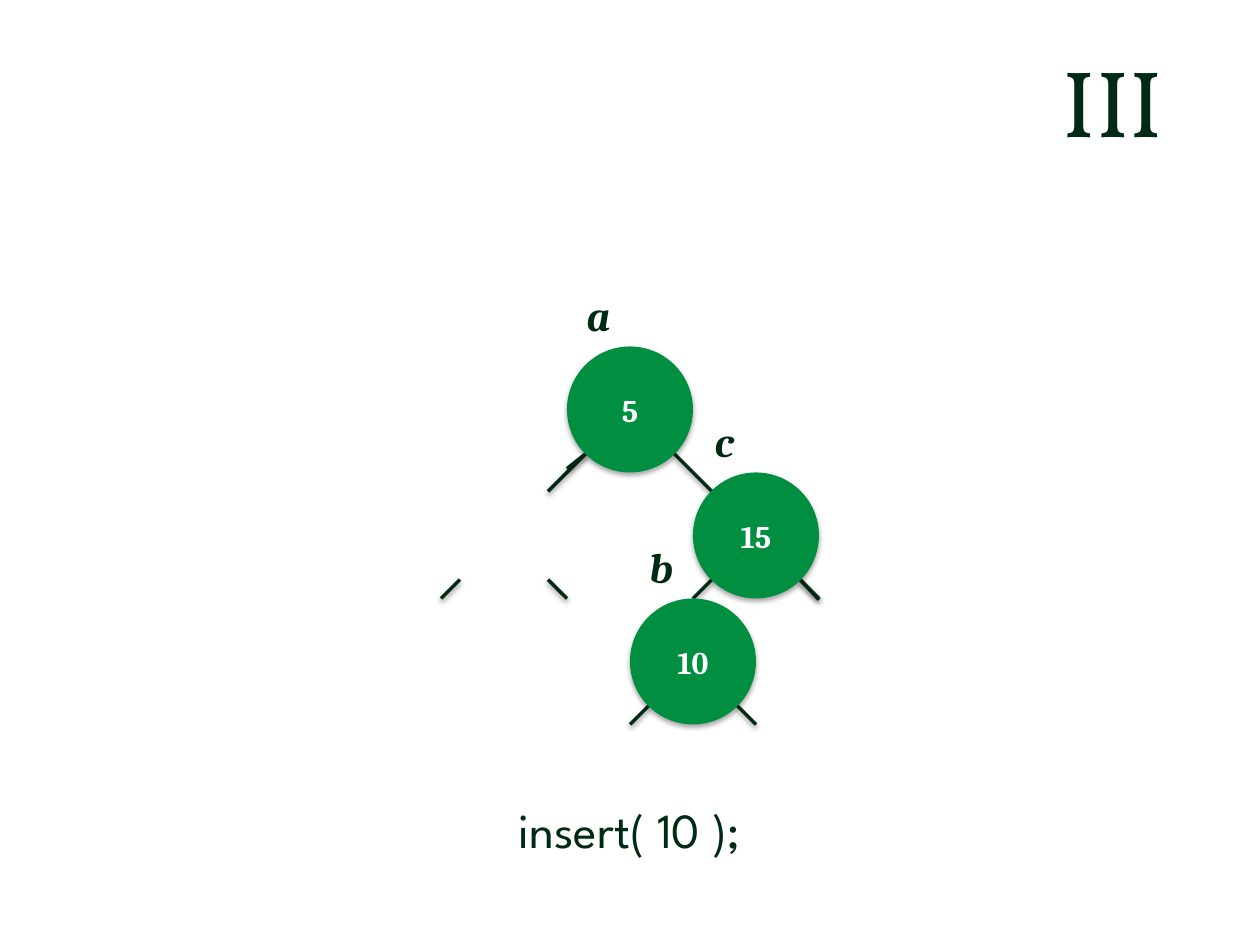
"""Build a slide that shows a binary search tree after inserting 10."""
import lxml.etree
import pptx
import pptx.dml.color
import pptx.enum.shapes
import pptx.enum.text
import pptx.oxml
import pptx.oxml.ns
import pptx.util

Inches = pptx.util.Inches
Pt = pptx.util.Pt
ALIGN = pptx.enum.text.PP_ALIGN

COLORS = {"ink": "002A13", "node": "008E40", "paper": "FFFFFF", "shadow": "000000"}

TITLE = "III"
CALL = "insert( 10 );"
NODES = [("c", "15", 5.5, 3.75), ("a", "5", 4.5, 2.75), ("b", "10", 5, 4.75)]
NODE_SIZE, LABEL_SIZE = 1, 0.5
EDGES = [
    (4.35, 4.6, 4.5, 4.75),
    (4.65, 3.6, 4.35, 3.9),
    (6.35, 4.6, 6.5, 4.76),
    (3.65, 4.6, 3.5, 4.75),
    (5.35, 3.6, 5.65, 3.9),
    (4.65, 3.6, 4.5, 3.72),
    (5.65, 4.6, 5.5, 4.75),
    (6.35, 4.6, 6.5, 4.75),
    (5.15, 5.6, 5, 5.75),
    (5.85, 5.6, 6, 5.75),
]

FORMATS = {
    "title": {"name": "Vollkorn", "size": Pt(54), "bold": False},
    "value": {"name": "Cambria", "size": Pt(18), "bold": True},
    "label": {"name": "Cambria", "size": Pt(24), "bold": True, "italic": True},
    "call": {"name": "League Spartan", "size": Pt(28)},
}
FRAME = {
    "word_wrap": True,
    "auto_size": pptx.enum.text.MSO_AUTO_SIZE.NONE,
    "vertical_anchor": pptx.enum.text.MSO_ANCHOR.MIDDLE,
}


def color(key):
    return pptx.dml.color.RGBColor.from_string(COLORS[key])


def write(shape, text, style, ink="ink", align=ALIGN.CENTER):
    frame = shape.text_frame
    for key, value in FRAME.items():
        setattr(frame, key, value)
    para = frame.paragraphs[0]
    para.alignment = align
    span = para.add_run()
    span.text = text
    for key, value in FORMATS[style].items():
        setattr(span.font, key, value)
    span.font.color.rgb = color(ink)


def add_shadow(properties, alpha, distance):
    effects = pptx.oxml.parse_xml(
        f'<a:effectLst {pptx.oxml.ns.nsdecls("a")}>'
        f'<a:outerShdw blurRad="{Pt(3.1)}" dist="{Pt(distance)}" dir="5400000" rotWithShape="0">'
        f'<a:srgbClr val="{COLORS["shadow"]}"><a:alpha val="{alpha * 1000}"/></a:srgbClr>'
        "</a:outerShdw></a:effectLst>"
    )
    properties.append(effects)


def add_edge(page, ends):
    edge = page.shapes.add_connector(
        pptx.enum.shapes.MSO_CONNECTOR.STRAIGHT, *map(Inches, ends)
    )
    edge.line.color.rgb = color("ink")
    edge.line.width = Pt(2)
    add_shadow(edge._element.spPr, 38, 1.6)


def add_node(page, value, left, top):
    node = page.shapes.add_shape(
        pptx.enum.shapes.MSO_SHAPE.OVAL,
        *map(Inches, (left, top, NODE_SIZE, NODE_SIZE)),
    )
    node.fill.solid()
    node.fill.fore_color.rgb = color("node")
    node.line.fill.background()
    add_shadow(node._element.spPr, 35, 1.8)
    write(node, value, "value", "paper")


def add_label(page, name, left, top):
    box = page.shapes.add_textbox(
        *map(Inches, (left, top - LABEL_SIZE, LABEL_SIZE, LABEL_SIZE))
    )
    write(box, name, "label")


def add_call(page):
    box = page.shapes.add_shape(
        pptx.enum.shapes.MSO_SHAPE.RECTANGLE, *map(Inches, (2.12, 6.33, 5.75, 0.5))
    )
    box.shadow.inherit = False
    box.fill.solid()
    box.fill.fore_color.rgb = color("paper")
    box.line.color.rgb = color("paper")
    box.line.width = Pt(2)
    write(box, CALL, "call")


def main():
    deck = pptx.Presentation()
    deck.slide_width, deck.slide_height = Inches(10), Inches(7.5)
    page = deck.slides.add_slide(deck.slide_layouts[5])
    title = page.shapes.title
    place = {"left": 0, "top": -0.08, "width": 9.33, "height": 1.75}
    for key, value in place.items():
        setattr(title, key, Inches(value))
    write(title, TITLE, "title", align=ALIGN.RIGHT)
    for ends in EDGES:
        add_edge(page, ends)
    add_call(page)
    for name, value, left, top in NODES:
        add_node(page, value, left, top)
    for name, value, left, top in NODES:
        add_label(page, name, left, top)
    deck.save("out.pptx")


if __name__ == "__main__":
    main()
